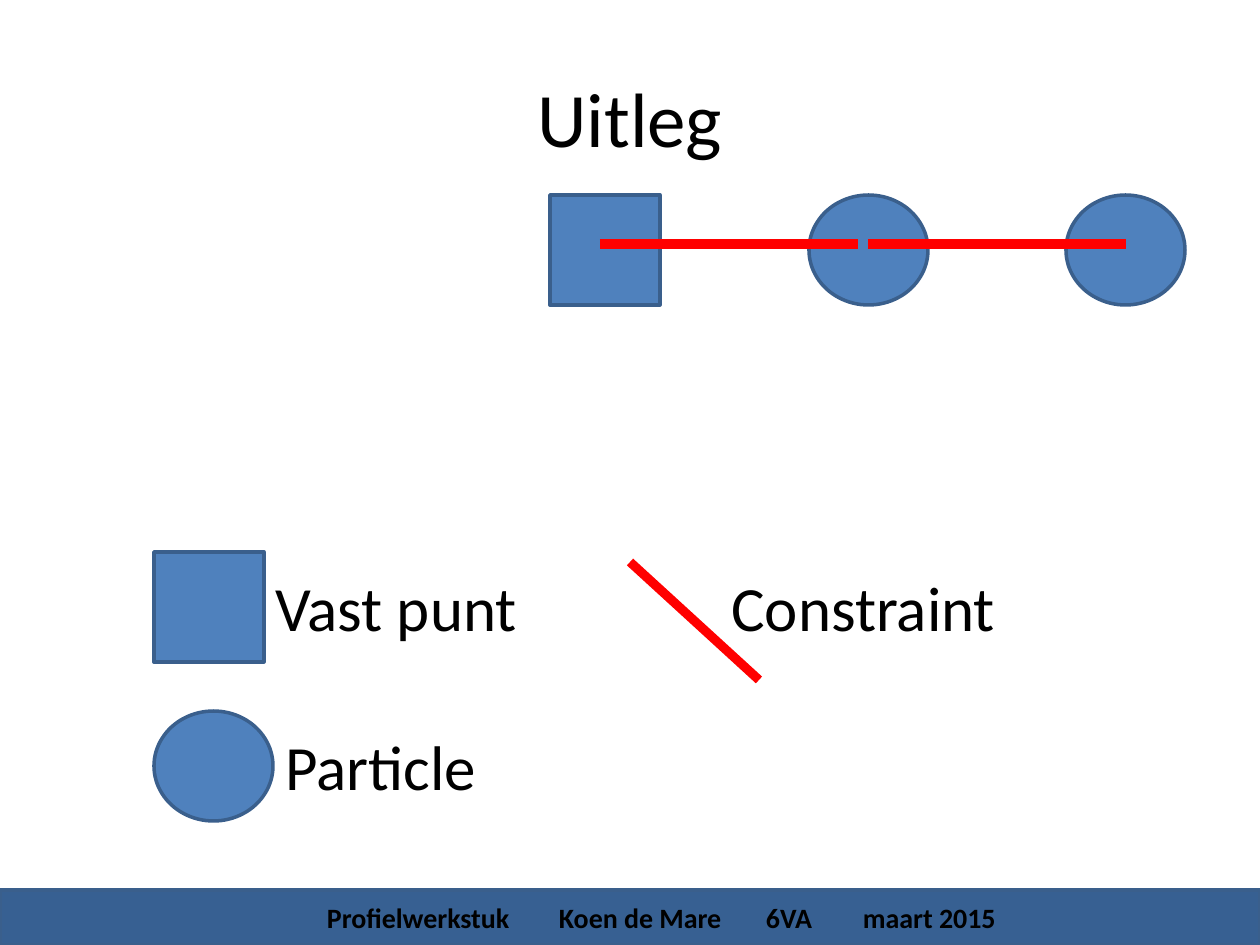
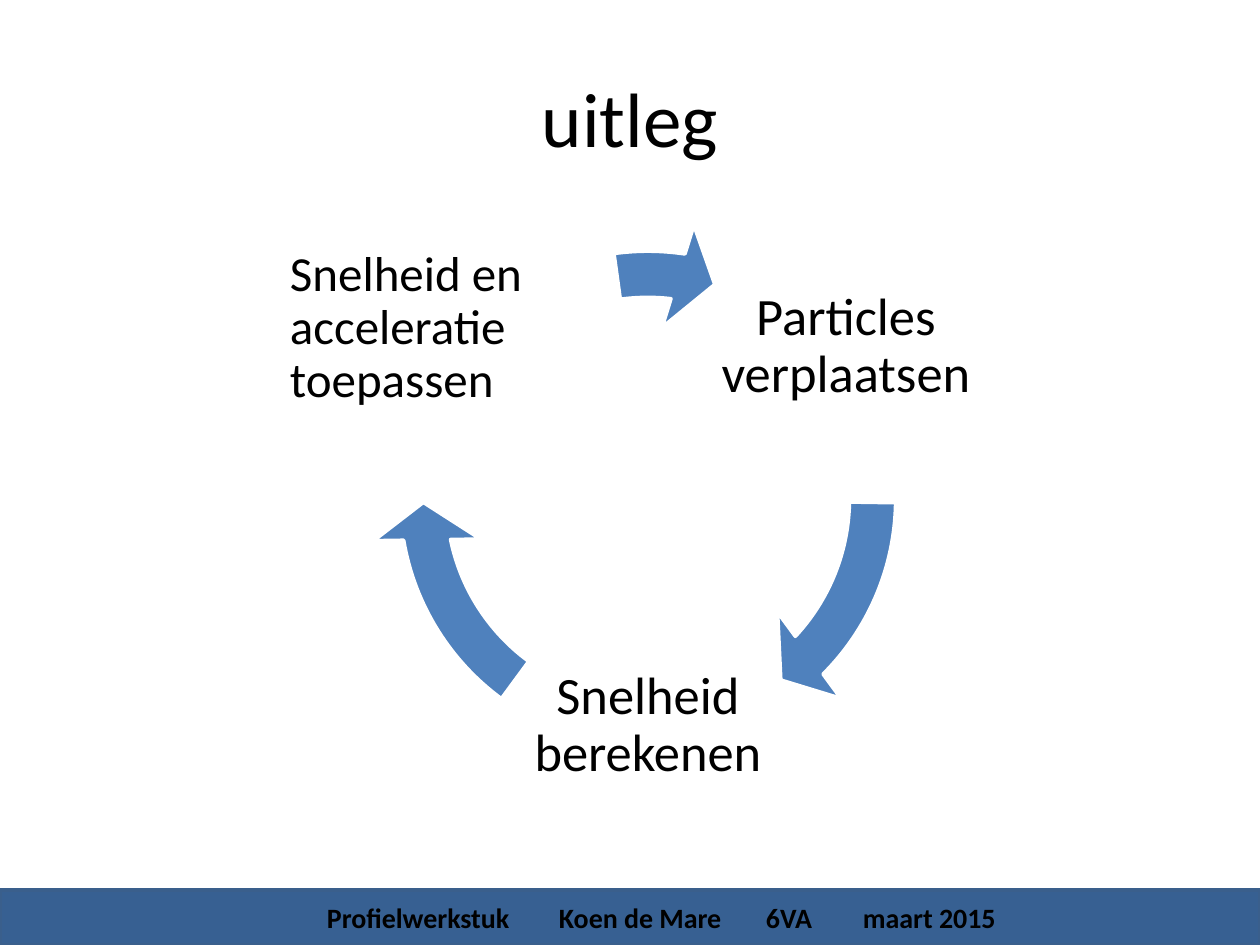
from lxml.etree import SubElement
from pptx import Presentation
from pptx.dml.color import RGBColor
from pptx.enum.shapes import MSO_CONNECTOR, MSO_SHAPE
from pptx.enum.text import MSO_ANCHOR, PP_ALIGN
from pptx.oxml.ns import qn
from pptx.util import Emu, Pt

PX = 914400 / 126
FONT = "Calibri"
COLORS = {
    "text": "000000",
    "body": "4F81BD",
    "outline": "3A5F8C",
    "constraint": "FF0000",
    "band": "376092",
    "white": "FFFFFF",
}
SQUARE = (110, 110)
CIRCLE = (119, 110)
FOOTER_LEFT = 327
FOOTER_TABS = (232, 439, 536)
FOOTER_PARTS = ("Profielwerkstuk", "Koen de Mare", "6VA", "maart 2015")
CYCLE_BOX = (370, 221, 556, 556)
CYCLE_ANGLES = ((26.469, 0.533), (101.7, 75.765), (166.617, 157.281))


def px(length):
    return Emu(round(length * PX))


def color(name):
    return RGBColor.from_string(COLORS[name])


def write(frame, text, size, bold=False, align=PP_ALIGN.LEFT,
          anchor=MSO_ANCHOR.TOP, spacing=None, inset=None, tabs=()):
    frame.word_wrap = True
    frame.vertical_anchor = anchor
    if inset is not None:
        frame.margin_left, frame.margin_top, frame.margin_right, frame.margin_bottom = map(px, inset)
    frame.text = text
    paragraph = frame.paragraphs[0]
    if tabs:
        stops = SubElement(paragraph._p.get_or_add_pPr(), qn("a:tabLst"))
        for position in tabs:
            SubElement(stops, qn("a:tab"), pos=str(px(position)), algn="l")
    paragraph.alignment = align
    if spacing:
        paragraph.line_spacing = spacing
    font = paragraph.runs[0].font
    font.name = FONT
    font.size = Pt(size)
    font.bold = bold
    font.color.rgb = color("text")


def add_text(slide, box, text, size, **style):
    write(slide.shapes.add_textbox(*map(px, box)).text_frame, text, size, **style)


def add_figure(slide, preset, box, fill="body", outline="outline"):
    figure = slide.shapes.add_shape(preset, *map(px, box))
    figure.shadow.inherit = False
    figure.fill.solid()
    figure.fill.fore_color.rgb = color(fill)
    figure.line.color.rgb = color(outline)
    figure.line.width = Pt(2)
    return figure


def add_fixed_point(slide, left, top):
    add_figure(slide, MSO_SHAPE.RECTANGLE, (left, top, *SQUARE))


def add_particle(slide, left, top):
    add_figure(slide, MSO_SHAPE.OVAL, (left, top, *CIRCLE))


def add_constraint(slide, start, end):
    constraint = slide.shapes.add_connector(MSO_CONNECTOR.STRAIGHT, *map(px, start + end))
    constraint.line.color.rgb = color("constraint")
    constraint.line.width = Pt(5.25)
    SubElement(constraint._element.spPr, qn("a:effectLst"))


def add_cycle_arrow(slide, head_angle, tail_angle):
    arrow = add_figure(slide, MSO_SHAPE.CIRCULAR_ARROW, CYCLE_BOX, outline="white")
    for index, value in enumerate((0.083, 5.766, head_angle, tail_angle, 0.096)):
        arrow.adjustments[index] = value


def add_footer(slide):
    add_figure(slide, MSO_SHAPE.RECTANGLE, (0, 890, 1260, 55), fill="band")
    add_text(slide, (0, 895, 1260, 47), "\t".join(FOOTER_PARTS), 16, bold=True,
             inset=(FOOTER_LEFT, 6, 13, 6), tabs=FOOTER_TABS)


def start_slide(deck, heading):
    slide = deck.slides.add_slide(deck.slide_layouts[5])
    title = slide.shapes.title
    title.left, title.top, title.width, title.height = map(px, (63, 38, 1134, 158))
    write(title.text_frame, heading, 44, align=PP_ALIGN.CENTER, anchor=MSO_ANCHOR.MIDDLE)
    return slide


def build_legend(deck):
    slide = start_slide(deck, "Uitleg")
    chain_top = 195
    add_fixed_point(slide, 550, chain_top)
    for left in (809, 1066):
        add_particle(slide, left, chain_top)
    for left in (600, 868):
        add_constraint(slide, (left, 244), (left + 258, 244))
    add_fixed_point(slide, 154, 552)
    add_particle(slide, 154, 711)
    add_constraint(slide, (630, 562), (759, 680))
    for label, left, top in (("Vast punt", 263, 562), ("Particle", 273, 721),
                             ("Constraint", 719, 562)):
        add_text(slide, (left, top, 318, 89), label, 36)
    add_footer(slide)


def build_cycle(deck):
    slide = start_slide(deck, "uitleg")
    for angles in CYCLE_ANGLES:
        add_cycle_arrow(slide, *angles)
    steps = (
        ("Particles verplaatsen", (716, 229, 260, 236), 30, PP_ALIGN.CENTER),
        ("Snelheid berekenen", (513, 608, 270, 236), 30, PP_ALIGN.CENTER),
        ("Snelheid en acceleratie toepassen", (285, 211, 333, 236), 28, PP_ALIGN.LEFT),
    )
    for step, box, size, align in steps:
        add_text(slide, box, step, size, align=align, anchor=MSO_ANCHOR.MIDDLE,
                 spacing=0.9, inset=(5, 5, 5, 5))
    add_footer(slide)


def main():
    deck = Presentation()
    deck.slide_width, deck.slide_height = px(1260), px(945)
    build_legend(deck)
    build_cycle(deck)
    deck.save("out.pptx")


if __name__ == "__main__":
    main()
